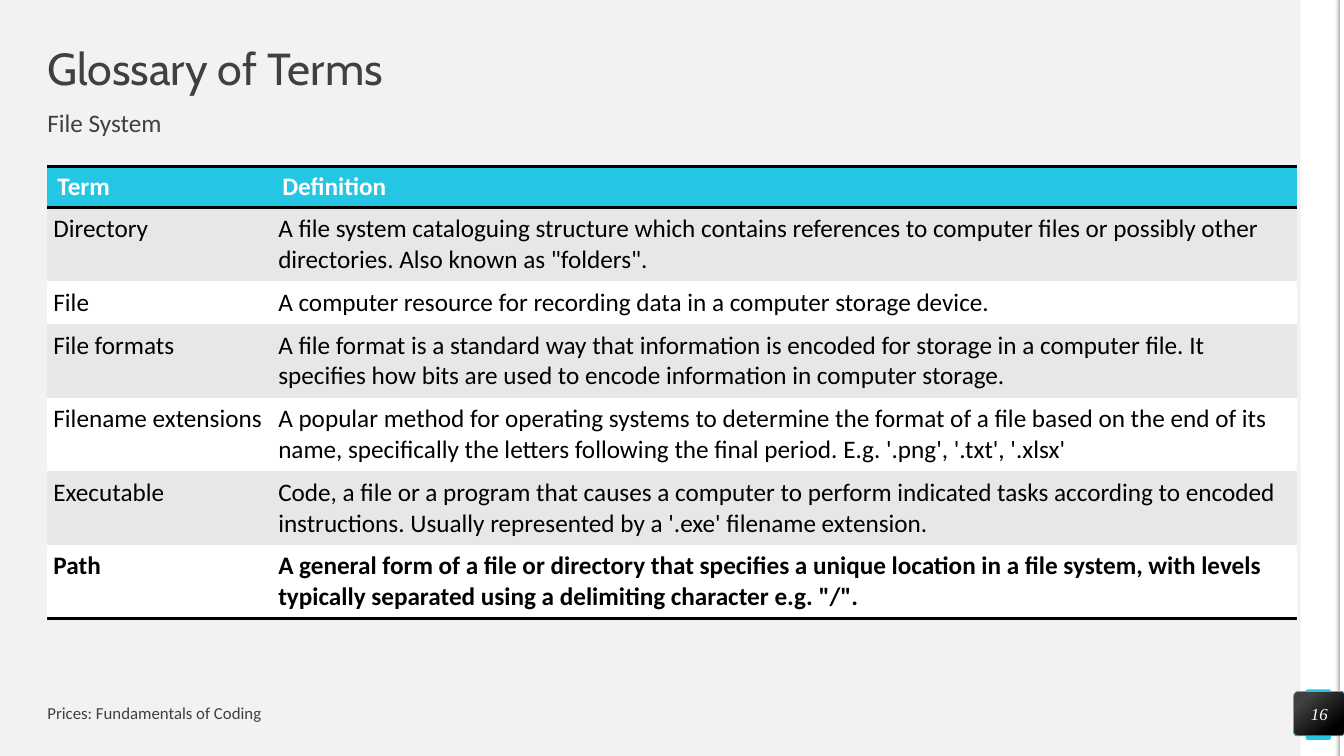
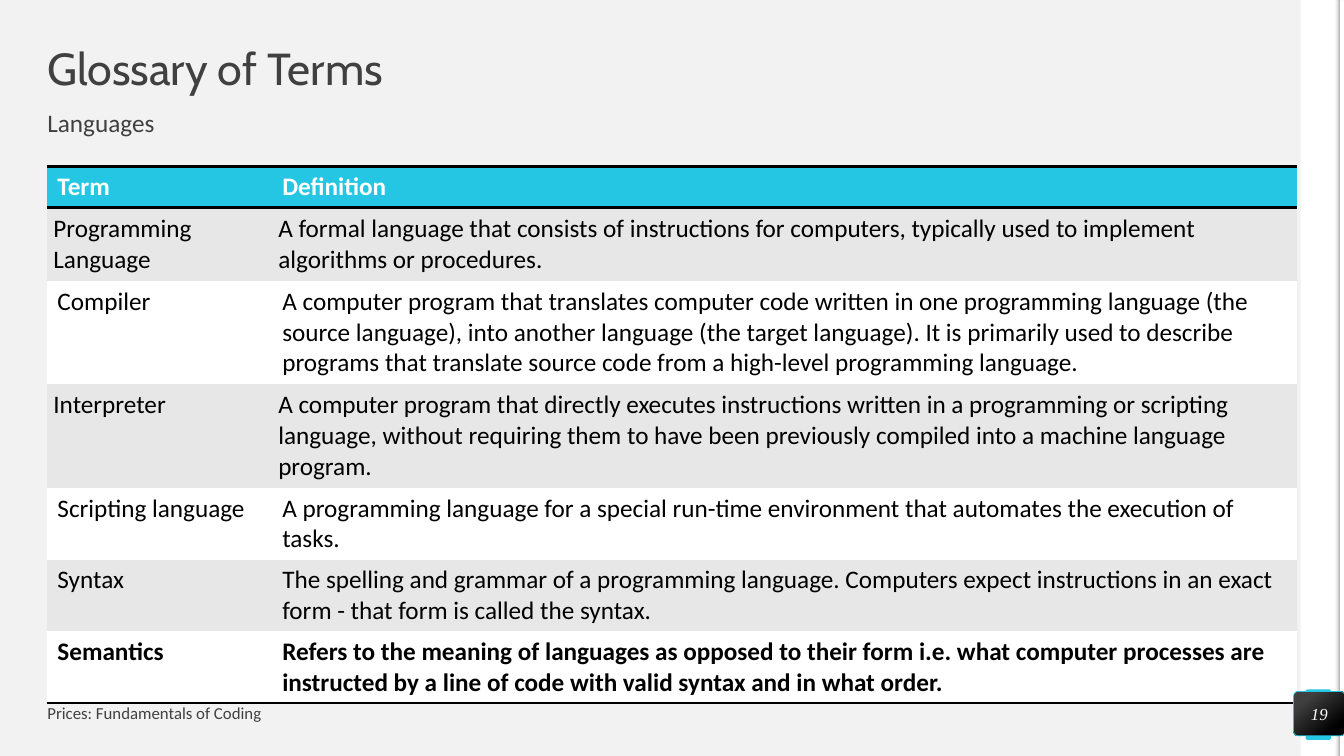
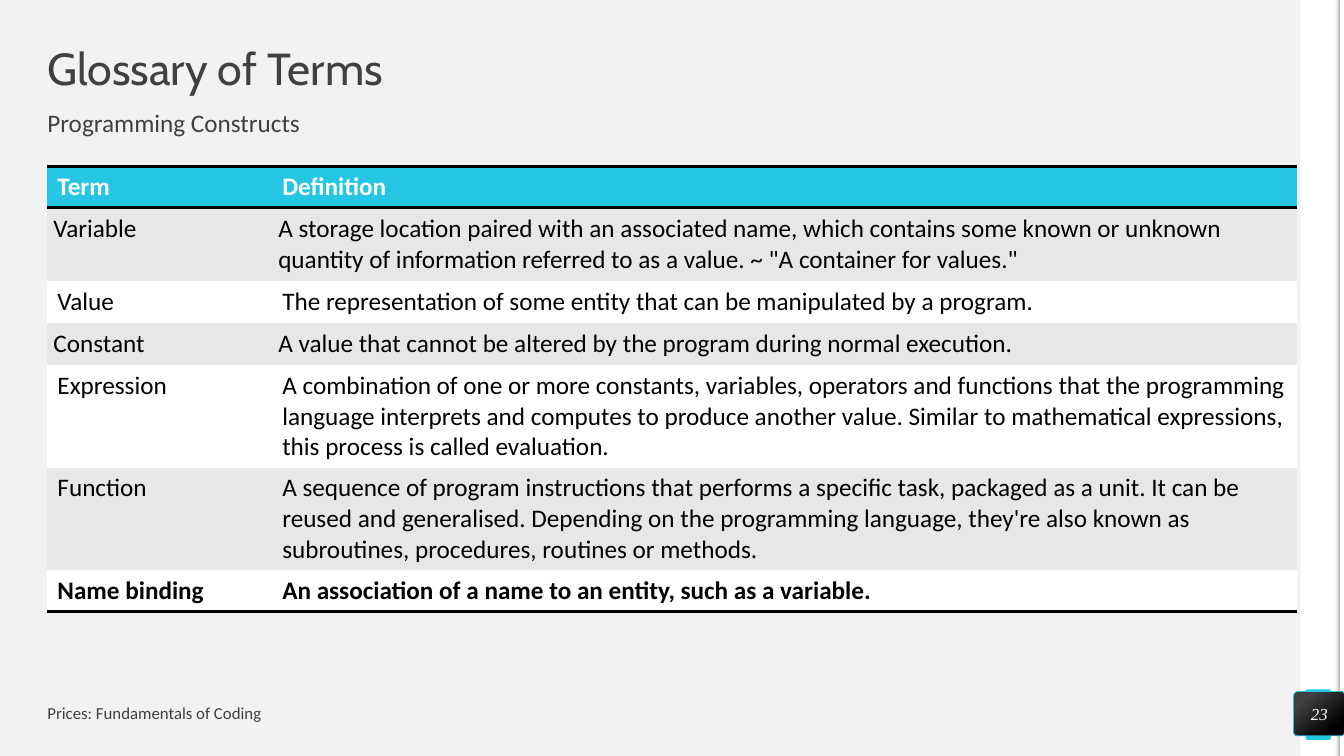
from lxml.etree import SubElement
from pptx import Presentation
from pptx.dml.color import RGBColor
from pptx.enum.shapes import MSO_SHAPE
from pptx.enum.text import MSO_ANCHOR, MSO_AUTO_SIZE, PP_ALIGN
from pptx.oxml import parse_xml
from pptx.oxml.ns import nsdecls, qn
from pptx.util import Inches, Pt

ACCENT, INK, PAPER = "25C6E3", "404040", "F2F2F2"
WHITE, BLACK, BAND, EDGE = "FFFFFF", "000000", "E7E7E7", "A6A6A6"
LEFT, TABLE_WIDTH = 0.47, 12.39
COLUMN_WIDTHS = (2.23, 10.16)
ROW_HEIGHT = 0.41
TIGHT_MARGIN = 0.06
NO_STYLE = "{2D5ABB26-0587-4C30-8999-92F81FD0307C}"

TITLE = {"size": 32, "name": "Cabin", "color": INK}
SUBTITLE = {"size": 18, "name": "Calibri", "color": INK}
FOOTER = {"size": 12, "name": "Calibri", "color": INK}
NUMBER = {"size": 12, "name": "Times New Roman", "color": WHITE, "italic": True}
HEADER_CELL = {"size": 18, "name": "Calibri", "color": WHITE, "bold": True}
BODY_CELL = {"size": 18, "name": "Calibri", "color": BLACK, "bold": False}
LAST_CELL = {**BODY_CELL, "bold": True}

GLOSSARY = [
    {
        "number": 16,
        "subtitle": "File System",
        "tight_rows": range(1, 7),
        "terms": [
            ("Directory", "A file system cataloguing structure which contains references to computer files or possibly other directories. Also known as \"folders\"."),
            ("File", "A computer resource for recording data in a computer storage device."),
            ("File formats", "A file format is a standard way that information is encoded for storage in a computer file. It specifies how bits are used to encode information in computer storage."),
            ("Filename extensions", "A popular method for operating systems to determine the format of a file based on the end of its name, specifically the letters following the final period. E.g. '.png', '.txt', '.xlsx'"),
            ("Executable", "Code, a file or a program that causes a computer to perform indicated tasks according to encoded instructions. Usually represented by a '.exe' filename extension."),
            ("Path", "A general form of a file or directory that specifies a unique location in a file system, with levels typically separated using a delimiting character e.g. \"/\"."),
        ],
    },
    {
        "number": 19,
        "subtitle": "Languages",
        "tight_rows": (1, 3),
        "terms": [
            ("Programming Language", "A formal language that consists of instructions for computers, typically used to implement algorithms or procedures."),
            ("Compiler", "A computer program that translates computer code written in one programming language (the source language), into another language (the target language). It is primarily used to describe programs that translate source code from a high-level programming language."),
            ("Interpreter", "A computer program that directly executes instructions written in a programming or scripting language, without requiring them to have been previously compiled into a machine language program."),
            ("Scripting language", "A programming language for a special run-time environment that automates the execution of tasks."),
            ("Syntax", "The spelling and grammar of a programming language. Computers expect instructions in an exact form - that form is called the syntax."),
            ("Semantics", "Refers to the meaning of languages as opposed to their form i.e. what computer processes are instructed by a line of code with valid syntax and in what order."),
        ],
    },
    {
        "number": 23,
        "subtitle": "Programming Constructs",
        "tight_rows": (1, 3),
        "terms": [
            ("Variable", "A storage location paired with an associated name, which contains some known or unknown quantity of information referred to as a value. ~ \"A container for values.\""),
            ("Value", "The representation of some entity that can be manipulated by a program."),
            ("Constant", "A value that cannot be altered by the program during normal execution."),
            ("Expression", "A combination of one or more constants, variables, operators and functions that the programming language interprets and computes to produce another value. Similar to mathematical expressions, this process is called evaluation."),
            ("Function", "A sequence of program instructions that performs a specific task, packaged as a unit. It can be reused and generalised. Depending on the programming language, they're also known as subroutines, procedures, routines or methods."),
            ("Name binding", "An association of a name to an entity, such as a variable."),
        ],
    },
]


def rgb(value):
    return RGBColor.from_string(value)


def box_lengths(box):
    return [Inches(length) for length in box]


def format_font(font, values):
    for name, value in values.items():
        if name == "color":
            font.color.rgb = rgb(value)
        else:
            setattr(font, name, Pt(value) if name == "size" else value)


def set_margins(target, margin):
    for side in ("left", "top", "right", "bottom"):
        setattr(target, f"margin_{side}", Inches(margin))


def write_text(shape, text, font_values, anchor=MSO_ANCHOR.MIDDLE,
               alignment=PP_ALIGN.LEFT, line_spacing=None):
    frame = shape.text_frame
    frame.word_wrap = True
    frame.auto_size = MSO_AUTO_SIZE.NONE
    frame.vertical_anchor = anchor
    set_margins(frame, 0)
    paragraph = frame.paragraphs[0]
    paragraph.alignment = alignment
    paragraph.line_spacing = line_spacing
    run = paragraph.add_run()
    run.text = text
    format_font(run.font, font_values)


def add_plain_shape(slide, kind, box, fill=None, corner=None, rotation=0):
    shape = slide.shapes.add_shape(kind, *box_lengths(box))
    shape.shadow.inherit = False
    shape.line.fill.background()
    shape.rotation = rotation
    if corner is not None:
        shape.adjustments[0] = corner
    if fill:
        shape.fill.solid()
        shape.fill.fore_color.rgb = rgb(fill)
    return shape


def fill_gradient(shape, stops, angle):
    shape.fill.gradient()
    shape.fill.gradient_angle = angle
    for stop, (position, color) in zip(shape.fill.gradient_stops, stops):
        stop.position = position
        stop.color.rgb = rgb(color)


def move_side_band_to_layout(slide):
    """Draw the right-hand band once and keep it on the shared layout."""
    layout = slide.slide_layout
    layout.background.fill.solid()
    layout.background.fill.fore_color.rgb = rgb(PAPER)
    band = add_plain_shape(slide, MSO_SHAPE.RECTANGLE, (12.9, 0, 0.39, 7.5), WHITE)
    tab = add_plain_shape(slide, MSO_SHAPE.ROUNDED_RECTANGLE,
                          (12.95, 6.84, 0.25, 0.5), ACCENT, corner=0.07)
    strip = add_plain_shape(slide, MSO_SHAPE.RECTANGLE,
                            (9.56, 3.73, 7.5, 0.05), WHITE, rotation=90)
    shade = add_plain_shape(slide, MSO_SHAPE.RECTANGLE,
                            (9.51, 3.73, 7.5, 0.05), rotation=90)
    fill_gradient(shade, [(0, PAPER), (1, EDGE)], 90)
    first_color = shade.element.find(".//" + qn("a:srgbClr"))
    SubElement(first_color, qn("a:alpha"), val="0")
    for shape in (band, tab, strip, shade):
        layout.shapes.element.append(shape.element)


def add_heading(slide, subtitle):
    title = slide.shapes.title
    title.left, title.top, title.width, title.height = box_lengths(
        (LEFT, 0.47, TABLE_WIDTH, 0.47))
    write_text(title, "Glossary of Terms", TITLE, line_spacing=0.9)
    subtitle_box = slide.shapes.add_textbox(*box_lengths((LEFT, 1.1, 12.4, 0.39)))
    write_text(subtitle_box, subtitle, SUBTITLE, MSO_ANCHOR.TOP, line_spacing=0.9)


def add_border(cell, side):
    border = parse_xml(
        f'<a:{side} {nsdecls("a")} w="{Pt(2)}"><a:solidFill>'
        f'<a:srgbClr val="{BLACK}"/></a:solidFill></a:{side}>')
    cell._tc.get_or_add_tcPr().insert(0, border)


def format_cell(cell, text, fill, font_values):
    cell.fill.solid()
    cell.fill.fore_color.rgb = rgb(fill)
    run = cell.text_frame.paragraphs[0].add_run()
    run.text = text
    format_font(run.font, font_values)


def add_glossary_table(slide, box, terms, tight_rows):
    rows = [("Term", "Definition"), *terms]
    last = len(rows) - 1
    table = slide.shapes.add_table(
        len(rows), len(COLUMN_WIDTHS), *box_lengths(box)).table
    table._tbl.tblPr.find(qn("a:tableStyleId")).text = NO_STYLE
    table.horz_banding = False
    for column, width in zip(table.columns, COLUMN_WIDTHS):
        column.width = Inches(width)
    for index, texts in enumerate(rows):
        table.rows[index].height = Inches(ROW_HEIGHT)
        if index == 0:
            fill, font_values, borders = ACCENT, HEADER_CELL, ("lnB", "lnT")
        else:
            fill = BAND if index % 2 else WHITE
            font_values = LAST_CELL if index == last else BODY_CELL
            borders = ("lnB",) if index == last else ()
        for cell, text in zip(table.rows[index].cells, texts):
            format_cell(cell, text, fill, font_values)
            if index in tight_rows:
                set_margins(cell, TIGHT_MARGIN)
            for side in borders:
                add_border(cell, side)


def add_footer(slide, number):
    footer = slide.shapes.add_textbox(*box_lengths((LEFT, 6.96, 6, 0.22)))
    write_text(footer, "Prices: Fundamentals of Coding", FOOTER)
    badge = add_plain_shape(slide, MSO_SHAPE.ROUNDED_RECTANGLE,
                            (12.83, 6.86, 0.51, 0.44), corner=0.1)
    fill_gradient(badge, [(0.2, INK), (0.82, BLACK)], 310)
    badge.line.color.rgb = rgb(ACCENT)
    badge.line.width = Pt(0.5)
    write_text(badge, str(number), NUMBER, alignment=PP_ALIGN.CENTER)


def add_glossary_slide(presentation, content):
    slide = presentation.slides.add_slide(presentation.slide_layouts[5])
    add_heading(slide, content["subtitle"])
    table_box = (LEFT, 1.65, TABLE_WIDTH, ROW_HEIGHT * (len(content["terms"]) + 1))
    add_glossary_table(slide, table_box, content["terms"], content["tight_rows"])
    add_footer(slide, content["number"])
    return slide


def main():
    presentation = Presentation()
    presentation.slide_width = Inches(13.33)
    presentation.slide_height = Inches(7.5)
    slides = [add_glossary_slide(presentation, content) for content in GLOSSARY]
    move_side_band_to_layout(slides[0])
    presentation.save("out.pptx")


if __name__ == "__main__":
    main()
